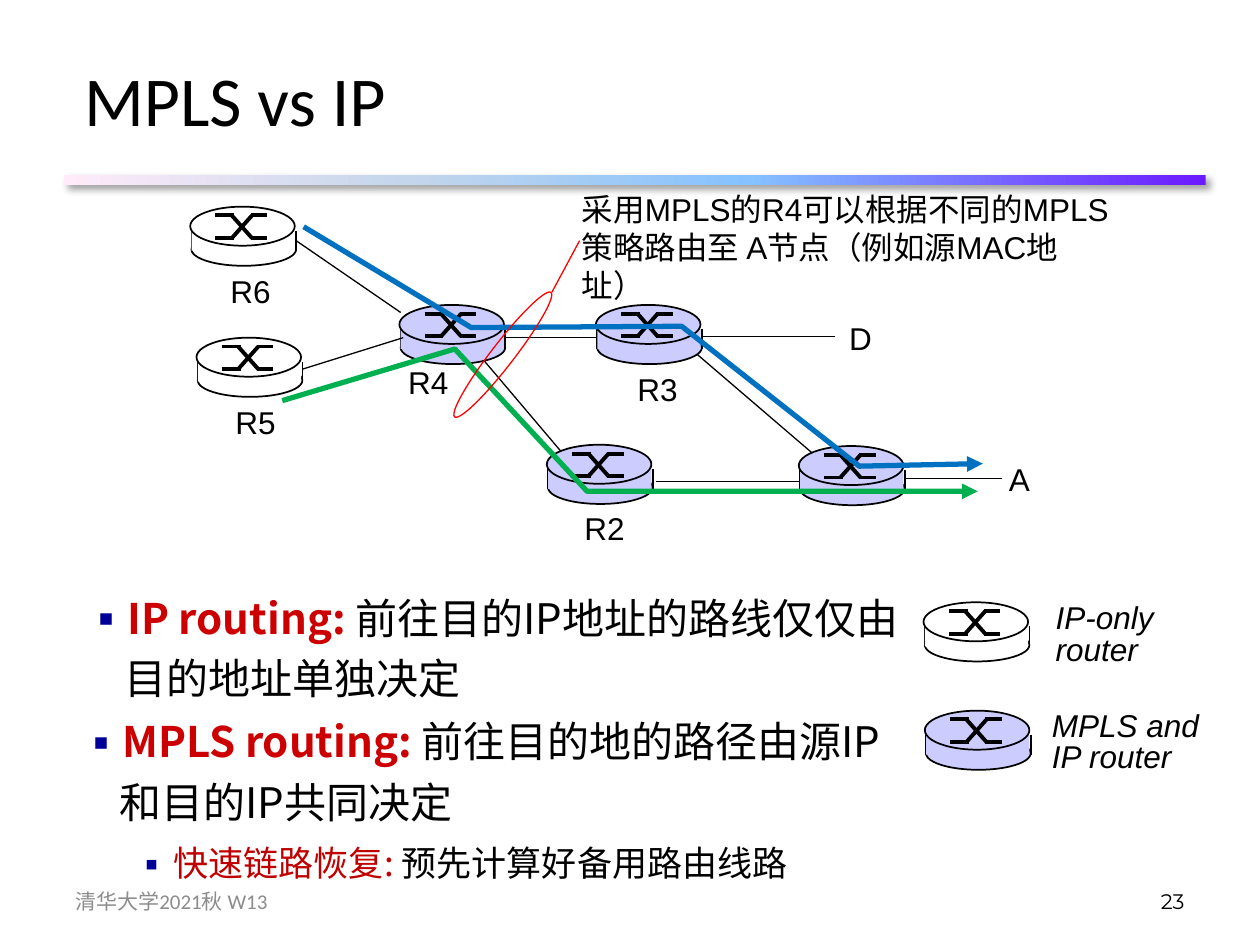
"""Build the MPLS vs IP slide: a router network, two routed paths, a legend and notes."""
from dataclasses import dataclass
from typing import Any

import lxml.etree
import pptx
import pptx.dml.color
import pptx.enum.shapes
import pptx.enum.text
import pptx.oxml
import pptx.oxml.ns
import pptx.util

SCALE = 9144
CJK = "Noto Sans CJK SC"
COLORS = {
    "black": "000000", "white": "FFFFFF", "lilac": "CCCCFF", "red": "FF0000",
    "blue": "0070C0", "green": "00B050", "term": "CC0000", "subterm": "C00000",
    "bullet": "000099", "footer": "8C8C8C",
}
BAR_STOPS = [(0, "6B19FF"), (40, "85C2FF"), (70, "C4D6EB"), (100, "FFEBFA")]
NS = 'xmlns:a="http://schemas.openxmlformats.org/drawingml/2006/main"'
SHAPE = pptx.enum.shapes.MSO_SHAPE
ANCHOR = pptx.enum.text.MSO_ANCHOR
ALIGN = pptx.enum.text.PP_ALIGN


@dataclass
class Router:
    x: int
    y: int
    fill: str = "lilac"


@dataclass
class Link:
    x1: int
    y1: int
    x2: int
    y2: int
    color: str = "black"
    weight: float = 0.75


@dataclass
class Route:
    points: list[tuple[int, int]]
    color: str


@dataclass
class Label:
    x: int
    y: int
    w: int
    h: int
    lines: list[str]
    italic: bool = False
    wrap: bool = False


@dataclass
class Bullet:
    term: str
    text: str
    size: int = 24
    color: str = "term"
    bold: bool = True
    margin: int = 31
    level: int = 0


ROUTERS = [
    Router(634, 354), Router(434, 353), Router(473, 242), Router(317, 242),
    Router(151, 164, "white"), Router(156, 268, "white"),
    Router(733, 478, "white"), Router(734, 564),
]
RIMS = [Link(1, 19, 1, 35, weight=1), Link(84, 19, 84, 35, weight=1)]
CROSS = [Link(*ends, weight=2.25) for ends in (
    (20, 7, 35, 7), (48, 25, 61, 25), (33, 7, 49, 25),
    (20, 25, 35, 25), (48, 7, 61, 7), (33, 25, 49, 7))]
LINKS = [
    Link(235, 191, 318, 248), Link(240, 293, 320, 268), Link(401, 268, 473, 268),
    Link(384, 286, 445, 358), Link(521, 382, 635, 382), Link(553, 281, 644, 359),
    Link(718, 380, 795, 380), Link(557, 267, 663, 267),
]
ROUTES = [
    Route([(241, 180), (374, 260), (541, 259), (682, 370), (780, 368)], "blue"),
    Route([(224, 318), (361, 277), (466, 390), (776, 390)], "green"),
]
LABELS = [
    Label(454, 399, 52, 40, ["R2"]), Label(664, 248, 38, 40, ["D"]),
    Label(496, 289, 52, 40, ["R3"]), Label(314, 283, 52, 40, ["R4"]),
    Label(177, 315, 52, 40, ["R5"]), Label(791, 360, 37, 40, ["A"]),
    Label(173, 211, 52, 40, ["R6"]),
    Label(828, 475, 99, 61, ["IP-only", "router"], italic=True),
    Label(825, 560, 145, 61, ["MPLS and", "IP router"], italic=True),
    Label(452, 146, 447, 71,
          ["采用MPLS的R4可以根据不同的MPLS策略路由至 A节点（例如源MAC地址）"], wrap=True),
]
NOTES = [
    ((58, 457, 678, 251), [Bullet("IP routing: ", "前往目的IP地址的路线仅仅由目的地址单独决定")]),
    ((54, 555, 662, 169), [
        Bullet("MPLS routing: ", "前往目的地的路径由源IP和目的IP共同决定"),
        Bullet("快速链路恢复: ", "预先计算好备用路由线路", 20, "subterm", False, 74, 1)]),
]


def px(n: int) -> pptx.util.Emu:
    return pptx.util.Emu(n * SCALE)


def rgb(name: str) -> pptx.dml.color.RGBColor:
    return pptx.dml.color.RGBColor.from_string(COLORS[name])


def style(sp: Any, fill: str | None, line: str | None, weight: float = 1) -> None:
    sp.shadow.inherit = False
    if fill:
        sp.fill.solid()
        sp.fill.fore_color.rgb = rgb(fill)
    else:
        sp.fill.background()
    if line:
        sp.line.color.rgb = rgb(line)
        sp.line.width = pptx.util.Pt(weight)
    else:
        sp.line.fill.background()


def add_shape(shapes: Any, kind: Any, x: int, y: int, w: int, h: int,
              fill: str | None, line: str | None, weight: float = 1) -> Any:
    sp = shapes.add_shape(kind, px(x), px(y), px(w), px(h))
    style(sp, fill, line, weight)
    return sp


def add_link(shapes: Any, link: Link, dx: int = 0, dy: int = 0) -> None:
    ln = shapes.add_connector(
        pptx.enum.shapes.MSO_CONNECTOR.STRAIGHT, px(link.x1 + dx), px(link.y1 + dy),
        px(link.x2 + dx), px(link.y2 + dy))
    ln.line.color.rgb = rgb(link.color)
    ln.line.width = pptx.util.Pt(link.weight)
    lxml.etree.SubElement(ln._element.spPr, pptx.oxml.ns.qn("a:effectLst"))


def add_router(shapes: Any, router: Router) -> None:
    group = shapes.add_group_shape().shapes
    x, y, fill = router.x, router.y, router.fill
    add_shape(group, SHAPE.OVAL, x + 1, y + 21, 83, 26, fill, "black")
    for rim in RIMS:
        add_link(group, rim, x, y)
    add_shape(group, SHAPE.RECTANGLE, x + 1, y + 19, 82, 16, fill, None)
    add_shape(group, SHAPE.OVAL, x, y, 83, 31, fill, "black")
    for stroke in CROSS:
        add_link(group, stroke, x, y)


def add_route(shapes: Any, route: Route) -> None:
    builder = shapes.build_freeform(*route.points[0], scale=SCALE)
    builder.add_line_segments(route.points[1:], close=False)
    sp = builder.convert_to_shape()
    style(sp, None, route.color, 3)
    sp.line._get_or_add_ln().append(pptx.oxml.parse_xml(f'<a:tailEnd {NS} type="triangle"/>'))


def add_box(shapes: Any, x: int, y: int, w: int, h: int, wrap: bool = True,
            anchor: Any = ANCHOR.TOP) -> Any:
    tf = shapes.add_textbox(px(x), px(y), px(w), px(h)).text_frame
    tf.word_wrap = wrap
    tf.vertical_anchor = anchor
    return tf


def add_text(p: Any, text: str, *, size: int = 18, font: str = "Arial", color: str = "black",
             bold: bool = False, italic: bool = False) -> None:
    r = p.add_run()
    r.text = text
    r.font.size = pptx.util.Pt(size)
    r.font.name = font
    r.font.bold = bold
    r.font.italic = italic
    r.font.color.rgb = rgb(color)
    r.font._element.append(pptx.oxml.parse_xml(f'<a:ea {NS} typeface="{CJK}"/>'))


def paragraph(tf: Any, index: int) -> Any:
    return tf.add_paragraph() if index else tf.paragraphs[0]


def add_label(shapes: Any, label: Label) -> None:
    tf = add_box(shapes, label.x, label.y, label.w, label.h, label.wrap)
    tf.auto_size = pptx.enum.text.MSO_AUTO_SIZE.SHAPE_TO_FIT_TEXT
    for i, line in enumerate(label.lines):
        p = paragraph(tf, i)
        if len(label.lines) > 1:
            p.line_spacing = pptx.util.Pt(18)
        add_text(p, line, italic=label.italic)


def add_bullet(p: Any, bullet: Bullet) -> None:
    p.level = bullet.level
    p.line_spacing = 1.2
    p.space_before = pptx.util.Pt(bullet.size * 0.2)
    pPr = p._p.get_or_add_pPr()
    pPr.set("marL", str(px(bullet.margin)))
    pPr.set("indent", str(px(-31)))
    for xml in (f'<a:buClr {NS}><a:srgbClr val="{COLORS["bullet"]}"/></a:buClr>',
                f'<a:buFont {NS} typeface="{CJK}"/>', f'<a:buChar {NS} char="▪"/>'):
        pPr.append(pptx.oxml.parse_xml(xml))
    add_text(p, bullet.term, size=bullet.size, font=CJK, color=bullet.color, bold=bullet.bold)
    add_text(p, bullet.text, size=bullet.size, font=CJK)


def add_bar(shapes: Any) -> None:
    sp = add_shape(shapes, SHAPE.RECTANGLE, 51, 139, 906, 8, "white", None)
    spPr = sp._element.spPr
    stops = "".join(f'<a:gs pos="{pos * 1000}"><a:srgbClr val="{c}"/></a:gs>' for pos, c in BAR_STOPS)
    spPr.replace(spPr.find(pptx.oxml.ns.qn("a:solidFill")), pptx.oxml.parse_xml(
        f'<a:gradFill {NS}><a:gsLst>{stops}</a:gsLst><a:lin ang="10800000" scaled="0"/></a:gradFill>'))
    spPr.find(pptx.oxml.ns.qn("a:effectLst")).append(pptx.oxml.parse_xml(
        f'<a:outerShdw {NS} blurRad="50800" dist="38100" dir="2700000">'
        '<a:srgbClr val="000000"><a:alpha val="40000"/></a:srgbClr></a:outerShdw>'))


def main() -> None:
    prs = pptx.Presentation()
    prs.slide_width, prs.slide_height = px(1000), px(750)
    shapes = prs.slides.add_slide(prs.slide_layouts[6]).shapes
    add_bar(shapes)
    for router in ROUTERS:
        add_router(shapes, router)
    for link in LINKS:
        add_link(shapes, link)
    for route in ROUTES:
        add_route(shapes, route)
    for label in LABELS:
        add_label(shapes, label)
    for box, bullets in NOTES:
        tf = add_box(shapes, *box)
        for i, bullet in enumerate(bullets):
            add_bullet(paragraph(tf, i), bullet)
    add_shape(shapes, SHAPE.OVAL, 390, 219, 18, 125, None, "red", 0.75).rotation = 37.7
    add_link(shapes, Link(438, 232, 460, 191, "red"))
    title = add_box(shapes, 57, 16, 850, 125, anchor=ANCHOR.MIDDLE)
    add_text(title.paragraphs[0], "MPLS vs IP", size=40, font="Calibri")
    footer = add_box(shapes, 50, 695, 233, 40, anchor=ANCHOR.MIDDLE)
    add_text(footer.paragraphs[0], "清华大学2021秋 W13", size=12, font="Calibri", color="footer")
    number = add_box(shapes, 717, 695, 233, 40, anchor=ANCHOR.MIDDLE)
    number.paragraphs[0].alignment = ALIGN.RIGHT
    add_text(number.paragraphs[0], "23", size=12, font="Montserrat")
    prs.save("out.pptx")


if __name__ == "__main__":
    main()
